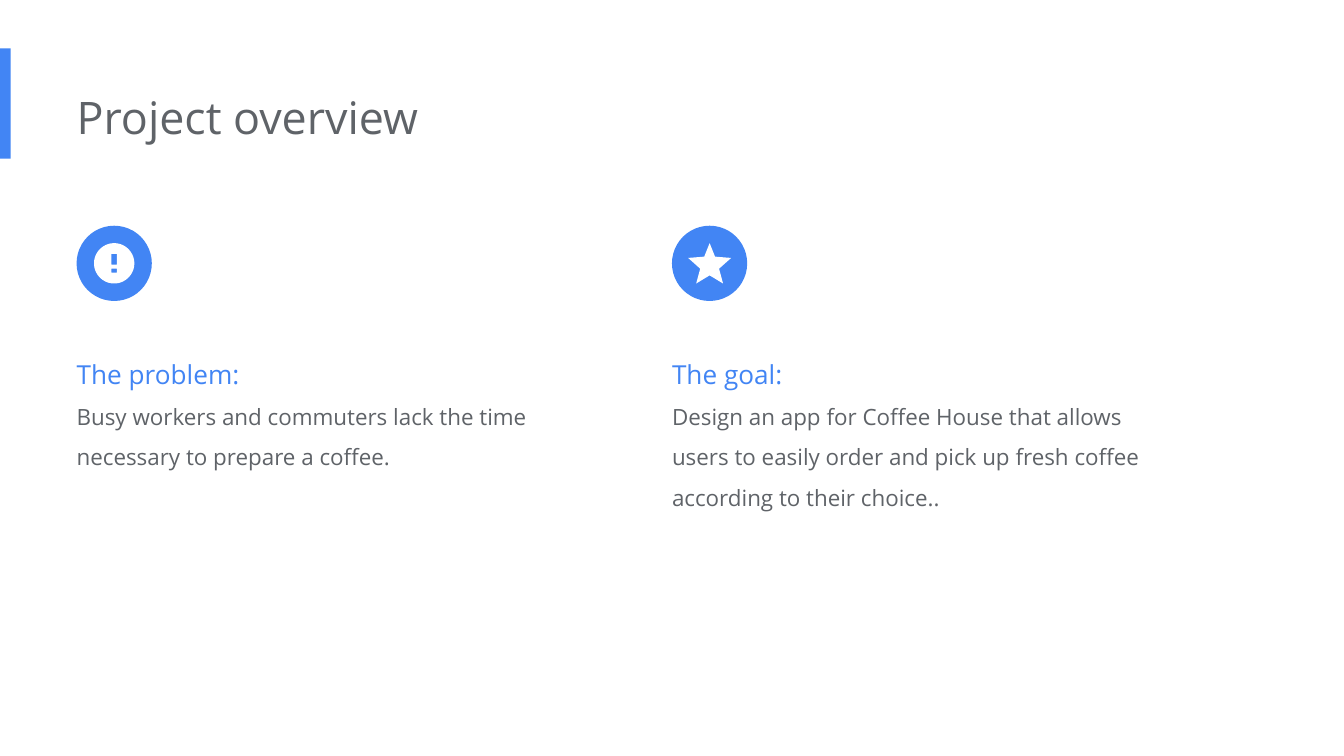
"""Build the project overview slide with its problem and goal columns."""
import math

import pptx
import pptx.dml.color
import pptx.enum.shapes
import pptx.enum.text
import pptx.oxml.ns
import pptx.util
from lxml import etree

COLORS = {"accent": "4285F4", "text": "5F6368", "icon": "FFFFFF"}
FONT = "Open Sans"
TITLE = "Project overview"
COLUMNS = [
    ("The problem:", "Busy workers and commuters lack the time necessary to prepare a coffee.", "alert", 1.06),
    ("The goal:", "Design an app for Coffee House that allows users to easily order and pick up "
     "fresh coffee according to their choice..", "star", 1.36),
]

SLIDE_WIDTH = 10
SLIDE_HEIGHT = SLIDE_WIDTH * 9 / 16
MARGIN, COLUMN_STEP, COLUMN_WIDTH = 0.57, 4.43, 3.77
BADGE_TOP, BADGE_SIZE, BODY_TOP = 1.68, 0.56, 2.45

STAR_RIGHT = [(0, -0.15), (0.04, -0.05), (0.16, -0.04), (0.07, 0.04), (0.1, 0.15), (0, 0.09)]
STAR = STAR_RIGHT + [(-x, y) for x, y in STAR_RIGHT[-2:0:-1]]
DISC_RADIUS = 0.15
DISC = [(DISC_RADIUS * math.cos(math.radians(angle)), DISC_RADIUS * math.sin(math.radians(angle)))
        for angle in range(0, 360, 5)]
MARKS = [[(-0.02, top), (0.02, top), (0.02, bottom), (-0.02, bottom)]
         for top, bottom in ((-0.07, 0.01), (0.04, 0.07))]
ICONS = {"alert": [DISC, *MARKS], "star": [STAR]}


def paint(shape, color):
    shape.shadow.inherit = False
    shape.fill.solid()
    shape.fill.fore_color.rgb = pptx.dml.color.RGBColor.from_string(COLORS[color])
    shape.line.fill.background()


def add_preset(page, kind, color, *box):
    paint(page.shapes.add_shape(kind, *map(pptx.util.Inches, box)), color)


def add_icon(page, contours, center_x, center_y):
    placed = [[(pptx.util.Inches(center_x + x), pptx.util.Inches(center_y + y)) for x, y in contour]
              for contour in contours]
    builder = page.shapes.build_freeform(*placed[0][0])
    for number, contour in enumerate(placed):
        if number:
            builder.move_to(*contour[0])
        builder.add_line_segments(contour[1:], close=True)
    paint(builder.convert_to_shape(), "icon")


def write(holder, box, lines, line_spacing):
    holder.left, holder.top, holder.width, holder.height = map(pptx.util.Inches, box)
    frame = holder.text_frame
    frame.text = "\n".join(text for text, size, color in lines)
    frame.word_wrap = True
    frame.auto_size = pptx.enum.text.MSO_AUTO_SIZE.SHAPE_TO_FIT_TEXT
    frame.vertical_anchor = pptx.enum.text.MSO_ANCHOR.TOP
    frame.margin_left = 0
    frame.margin_top = frame.margin_right = frame.margin_bottom = pptx.util.Inches(0.1)
    for para, (text, size, color) in zip(frame.paragraphs, lines):
        para.alignment = pptx.enum.text.PP_ALIGN.LEFT
        para.line_spacing = line_spacing
        para.space_before = pptx.util.Pt(0)
        properties = para._p.get_or_add_pPr()
        properties.set("marL", "0")
        properties.set("indent", "0")
        etree.SubElement(properties, pptx.oxml.ns.qn("a:buNone"))
        font = para.runs[0].font
        font.name, font.size = FONT, pptx.util.Pt(size)
        font.color.rgb = pptx.dml.color.RGBColor.from_string(COLORS[color])


def main():
    deck = pptx.Presentation()
    deck.slide_width = pptx.util.Inches(SLIDE_WIDTH)
    deck.slide_height = pptx.util.Inches(SLIDE_HEIGHT)
    page = deck.slides.add_slide(deck.slide_layouts.get_by_name("Two Content"))
    title, *bodies = page.placeholders
    shapes = pptx.enum.shapes.MSO_SHAPE

    add_preset(page, shapes.RECTANGLE, "accent", 0, 0.36, 0.08, 0.82)
    write(title, (MARGIN, 0.57, 6.73, 0.61), [(TITLE, 24, "text")], 1.0)
    for number, (body, (heading, detail, icon, height)) in enumerate(zip(bodies, COLUMNS)):
        left = MARGIN + number * COLUMN_STEP
        write(body, (left, BODY_TOP, COLUMN_WIDTH, height),
              [(heading, 14, "accent"), (detail, 12, "text")], 1.5)
        add_preset(page, shapes.OVAL, "accent", left, BADGE_TOP, BADGE_SIZE, BADGE_SIZE)
        add_icon(page, ICONS[icon], left + BADGE_SIZE / 2, BADGE_TOP + BADGE_SIZE / 2)
    deck.save("out.pptx")


if __name__ == "__main__":
    main()
